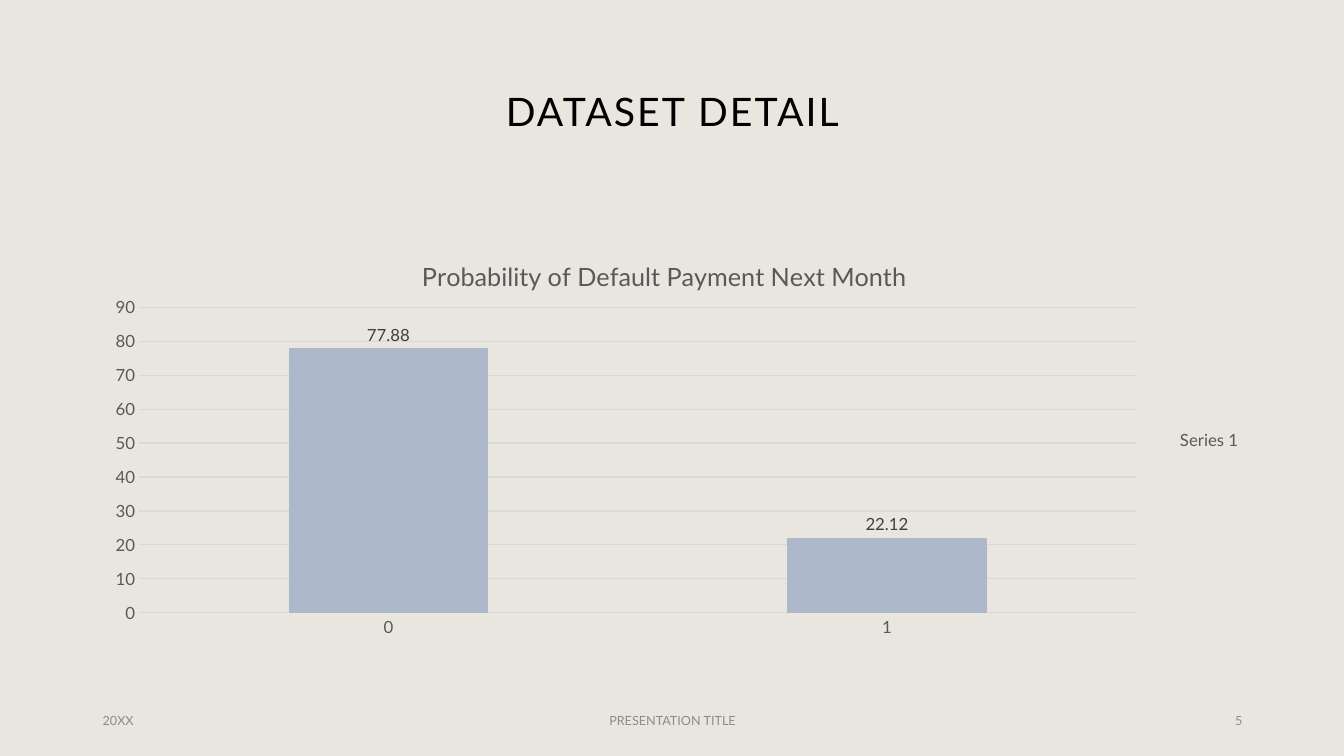
from lxml import etree
from pptx import Presentation
from pptx.chart.data import CategoryChartData
from pptx.dml.color import RGBColor
from pptx.enum.chart import XL_CHART_TYPE, XL_LABEL_POSITION, XL_LEGEND_POSITION, XL_TICK_MARK
from pptx.enum.text import MSO_ANCHOR, PP_ALIGN
from pptx.oxml.ns import qn
from pptx.util import Inches, Pt

LEFT, CENTER, RIGHT = PP_ALIGN.LEFT, PP_ALIGN.CENTER, PP_ALIGN.RIGHT
MIDDLE = MSO_ANCHOR.MIDDLE
COLUMN = XL_CHART_TYPE.COLUMN_CLUSTERED
OUTSIDE_END = XL_LABEL_POSITION.OUTSIDE_END
LEGEND_RIGHT = XL_LEGEND_POSITION.RIGHT
NO_TICK = XL_TICK_MARK.NONE

FONT = "Lato"
BACKGROUND = RGBColor(0xE9, 0xE6, 0xDF)
BLACK = RGBColor(0x00, 0x00, 0x00)
FOOTER_GRAY = RGBColor(0x8C, 0x8C, 0x8C)
AXIS_GRAY = RGBColor(0x59, 0x59, 0x59)
LABEL_GRAY = RGBColor(0x40, 0x40, 0x40)
GRID_GRAY = RGBColor(0xD9, 0xD9, 0xD9)
BAR_BLUE = RGBColor(0xAD, 0xB9, 0xCA)

MARGIN = 0.92
CONTENT_WIDTH = 11.5


def style_font(font, size, color):
    font.name = FONT
    font.size = Pt(size)
    font.bold = False
    font.color.rgb = color


def add_text(slide, text, box, *, size, color, align=LEFT, line_spacing=None, tracking=0):
    shape = slide.shapes.add_textbox(*map(Inches, box))
    frame = shape.text_frame
    frame.word_wrap = True
    frame.vertical_anchor = MIDDLE
    paragraph = frame.paragraphs[0]
    paragraph.alignment = align
    paragraph.line_spacing = line_spacing
    run = paragraph.add_run()
    run.text = text
    style_font(run.font, size, color)
    if tracking:
        run.font._element.set("spc", str(int(tracking * 100)))


def add_title(slide, box):
    add_text(slide, "DATASET DETAIL", box, size=28, color=BLACK,
             align=CENTER, line_spacing=0.9, tracking=1.5)


def add_footer(slide, box):
    left, top, width, height = box
    side, middle = 3, 4.5
    parts = [
        ("20XX", left, side, LEFT),
        ("PRESENTATION TITLE", left + (width - middle) / 2, middle, CENTER),
        ("5", left + width - side, side, RIGHT),
    ]
    for text, part_left, part_width, align in parts:
        add_text(slide, text, (part_left, top, part_width, height),
                 size=9, color=FOOTER_GRAY, align=align)


def set_layout(parent, index, **fractions):
    """Place a chart part by fractions of the chart's size."""
    for old_layout in parent.findall(qn("c:layout")):
        parent.remove(old_layout)
    layout = etree.Element(qn("c:layout"))
    manual = etree.SubElement(layout, qn("c:manualLayout"))
    settings = {"xMode": "edge", "yMode": "edge", **fractions}
    if "w" in fractions:
        settings = {"layoutTarget": "inner", **settings}
    for name, value in settings.items():
        etree.SubElement(manual, qn(f"c:{name}")).set("val", str(value))
    parent.insert(index, layout)


def style_axes(chart):
    for axis in (chart.category_axis, chart.value_axis):
        axis.major_tick_mark = NO_TICK
        axis.minor_tick_mark = NO_TICK
        style_font(axis.tick_labels.font, 12, AXIS_GRAY)
    value_axis = chart.value_axis
    value_axis.minimum_scale, value_axis.maximum_scale = 0, 90
    value_axis.major_unit = 10
    value_axis.format.line.fill.background()
    for line in (chart.category_axis.format.line, value_axis.major_gridlines.format.line):
        line.color.rgb = GRID_GRAY
        line.width = Pt(0.75)


def add_default_chart(slide, box):
    data = CategoryChartData()
    data.categories = ["0", "1"]
    data.add_series("Series 1", (77.88, 22.12))
    chart = slide.shapes.add_chart(COLUMN, *map(Inches, box), data).chart
    style_font(chart.font, 10, BLACK)

    # Title
    chart.has_title = True
    paragraph = chart.chart_title.text_frame.paragraphs[0]
    run = paragraph.add_run()
    run.text = "Probability of Default Payment Next Month"
    style_font(run.font, 18, AXIS_GRAY)
    set_layout(chart.chart_title._element, 1, x=0.28, y=0.05)

    # Axes and plot area
    style_axes(chart)
    set_layout(chart._chartSpace.chart.plotArea, 0, x=0.04, y=0.18, w=0.86, h=0.74)

    # Columns and value labels
    plot = chart.plots[0]
    plot.gap_width = 150
    plot.vary_by_categories = False
    series = plot.series[0]
    series.format.fill.solid()
    series.format.fill.fore_color.rgb = BACKGROUND
    for index in range(len(series.values)):
        fill = series.points[index].format.fill
        fill.solid()
        fill.fore_color.rgb = BAR_BLUE
    labels = series.data_labels
    labels.show_value = True
    labels.position = OUTSIDE_END
    style_font(labels.font, 12, LABEL_GRAY)

    # Legend
    chart.has_legend = True
    chart.legend.position = LEGEND_RIGHT
    chart.legend.include_in_layout = False
    style_font(chart.legend.font, 12, AXIS_GRAY)


def main():
    presentation = Presentation()
    presentation.slide_width = Inches(13.33)
    presentation.slide_height = Inches(7.5)
    slide = presentation.slides.add_slide(presentation.slide_layouts[6])
    slide.background.fill.solid()
    slide.background.fill.fore_color.rgb = BACKGROUND

    add_title(slide, (MARGIN, 0.4, CONTENT_WIDTH, 1.45))
    add_default_chart(slide, (MARGIN, 2.31, CONTENT_WIDTH, 4.1))
    add_footer(slide, (MARGIN, 6.95, CONTENT_WIDTH, 0.4))
    presentation.save("out.pptx")


if __name__ == "__main__":
    main()
